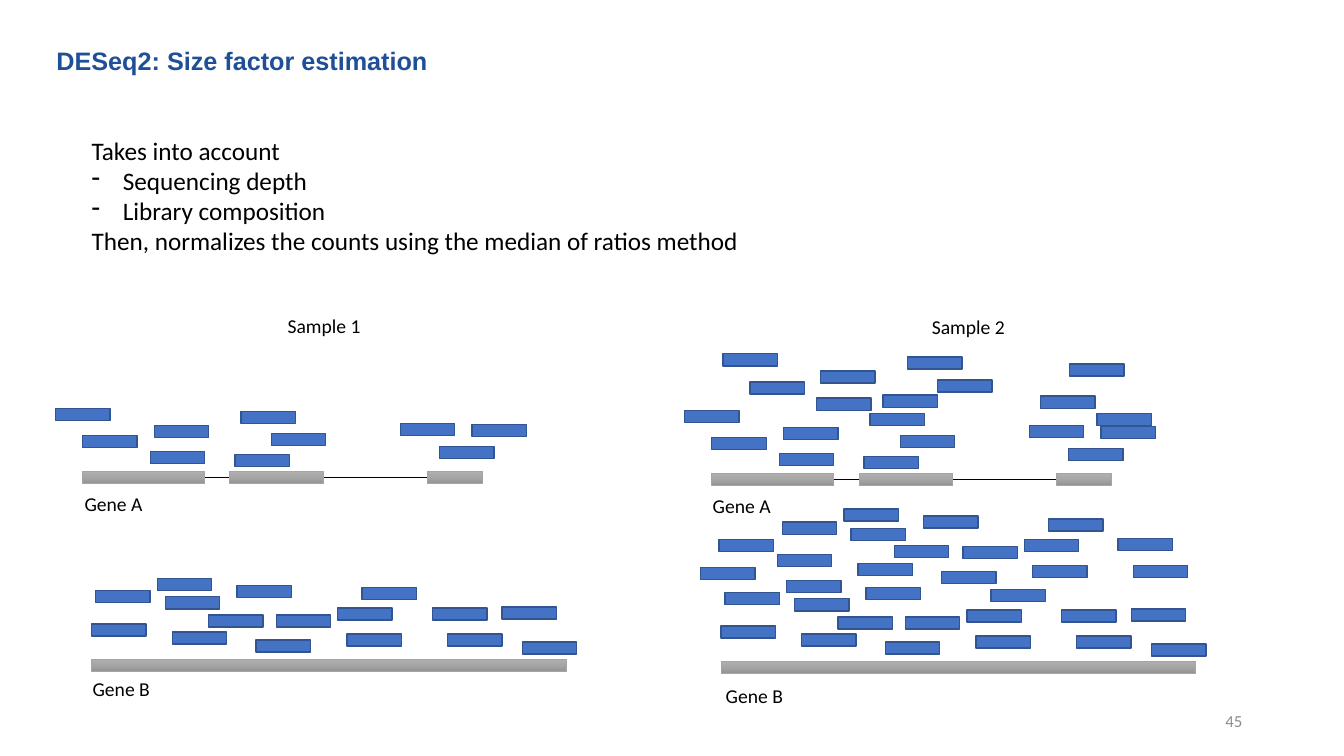
from copy import deepcopy

from pptx import Presentation
from pptx.dml.color import RGBColor
from pptx.enum.shapes import MSO_CONNECTOR, MSO_SHAPE
from pptx.enum.text import MSO_ANCHOR, MSO_AUTO_SIZE, PP_ALIGN
from pptx.oxml.ns import qn
from pptx.util import Inches, Pt

RECT, STRAIGHT = MSO_SHAPE.RECTANGLE, MSO_CONNECTOR.STRAIGHT
LEFT, CENTER, RIGHT = PP_ALIGN.LEFT, PP_ALIGN.CENTER, PP_ALIGN.RIGHT
TOP, MIDDLE = MSO_ANCHOR.TOP, MSO_ANCHOR.MIDDLE

TITLE_BLUE = RGBColor(0x1F, 0x4F, 0x97)
READ_FILL = RGBColor(0x44, 0x72, 0xC4)
READ_LINE = RGBColor(0x32, 0x54, 0x91)
GENE_LINE = RGBColor(0xA5, 0xA5, 0xA5)
GENE_STOPS = [(0, RGBColor(0xAF, 0xAF, 0xAF)), (0.5, GENE_LINE),
              (1, RGBColor(0x93, 0x93, 0x93))]
NUMBER_GREY = RGBColor(0x8C, 0x8C, 0x8C)
BLACK = RGBColor(0, 0, 0)

# Content: lines starting with "- " become dashed items
TITLE = "DESeq2: Size factor estimation"
BODY = [
    "Takes into account",
    "- Sequencing depth",
    "- Library composition",
    "Then, normalizes the counts using the median of ratios method",
]
PAGE_NUMBER = "45"
LABELS = [
    ("Sample 1", 2.53, 3.07, CENTER), ("Sample 2", 8.92, 3.08, CENTER),
    ("Gene A", 0.74, 4.83, LEFT), ("Gene A", 6.97, 4.85, LEFT),
    ("Gene B", 0.82, 6.67, LEFT), ("Gene B", 7.1, 6.74, LEFT),
]

# Gene models of sample 1: (left, width)
EXONS_A = [(0.82, 1.21), (2.28, 0.93), (4.24, 0.54)]
EXON_A_TOP = 4.68
GENE_B = (0.91, 4.71)
GENE_B_TOP = 6.54

# Reads found in both samples, as (left, top) in sample 1
SHARED_READS = [
    # gene A
    (0.55, 4.05), (0.82, 4.32), (1.53, 4.22), (1.49, 4.48), (2.39, 4.08),
    (2.69, 4.3), (2.33, 4.51), (3.97, 4.2), (4.36, 4.43), (4.68, 4.21),
    # gene B
    (0.91, 6.19), (0.95, 5.86), (1.56, 5.74), (1.64, 5.92), (1.71, 6.27),
    (2.07, 6.1), (2.35, 5.81), (2.54, 6.35), (2.74, 6.1), (3.35, 6.03),
    (3.44, 6.29), (3.59, 5.83), (4.29, 6.03), (4.44, 6.29), (4.98, 6.02),
    (5.18, 6.37),
]
# Further reads of the deeper sample 2, as (left, top) on the slide
EXTRA_READS = [
    # gene A
    (7.17, 3.51), (7.44, 3.79), (8.14, 3.68), (8.1, 3.95), (8.76, 3.92),
    (9, 3.54), (9.3, 3.77), (10.32, 3.93), (10.61, 3.61), (10.88, 4.1),
    # gene B
    (6.95, 5.63), (7.13, 5.35), (7.71, 5.5), (7.76, 5.18), (8.37, 5.05),
    (8.44, 5.24), (8.51, 5.59), (8.87, 5.41), (9.16, 5.12), (9.34, 5.67),
    (9.55, 5.42), (10.16, 5.35), (10.24, 5.61), (10.4, 5.15),
    (11.09, 5.34), (11.24, 5.61),
]
READ_WIDTH, BAR_HEIGHT = 0.54, 0.12
SAMPLE_SHIFTS = [(0, 0), (6.24, 0.02)]

deck = Presentation()
deck.slide_width, deck.slide_height = Inches(13.33), Inches(7.5)
page = deck.slides.add_slide(deck.slide_layouts[5])
shapes = page.shapes


def add_text(lines, left, top, width, height, box=None, size=18, font="Calibri",
             color=BLACK, bold=False, align=LEFT, anchor=TOP):
    """Write lines into a new text box, or into the given placeholder."""
    place = [Inches(value) for value in (left, top, width, height)]
    if box is None:
        box = shapes.add_textbox(*place)
    box.left, box.top, box.width, box.height = place
    frame = box.text_frame
    frame.word_wrap = True
    frame.auto_size = MSO_AUTO_SIZE.NONE
    frame.vertical_anchor = anchor
    for index, line in enumerate(lines):
        para = frame.paragraphs[0] if index == 0 else frame.add_paragraph()
        para.alignment = align
        if line.startswith("- "):
            line = line[2:]
            props = para._p.get_or_add_pPr()
            props.set("marL", str(Inches(0.31)))
            props.set("indent", str(-Inches(0.31)))
            bullet = props.makeelement(qn("a:buChar"), {"char": "-"})
            props.append(bullet)
        span = para.add_run()
        span.text = line
        span.font.size, span.font.name = Pt(size), font
        span.font.bold = bold
        span.font.color.rgb = color


def add_bar(left, top, width, line_color, line_width):
    bar = shapes.add_shape(RECT, Inches(left), Inches(top),
                           Inches(width), Inches(BAR_HEIGHT))
    bar.shadow.inherit = False
    bar.line.color.rgb = line_color
    bar.line.width = Pt(line_width)
    return bar


def add_read(left, top):
    read = add_bar(left, top, READ_WIDTH, READ_LINE, 1)
    read.fill.solid()
    read.fill.fore_color.rgb = READ_FILL


def add_gene_part(left, top, width):
    part = add_bar(left, top, width, GENE_LINE, 0.5)
    part.fill.gradient()
    part.fill.gradient_angle = 270
    first_stop = part._element.spPr.find(".//" + qn("a:gs"))
    first_stop.addnext(deepcopy(first_stop))
    for stop, (position, color) in zip(part.fill.gradient_stops, GENE_STOPS):
        stop.position = position
        stop.color.rgb = color
    return part


# Title, text and page number
add_text([TITLE], 0.46, 0.4, 9.93, 0.4, box=shapes.title, font="Arial",
         color=TITLE_BLUE, bold=True)
add_text(BODY, 0.81, 1.29, 11.25, 1.31)
add_text([PAGE_NUMBER], 9.42, 6.95, 3, 0.4, size=12, color=NUMBER_GREY,
         align=RIGHT, anchor=MIDDLE)

# Gene models and shared reads of each sample
for shift_x, shift_y in SAMPLE_SHIFTS:
    intron = shapes.add_connector(STRAIGHT, 0, 0, 0, 0)
    intron.line.color.rgb = BLACK
    intron.line.width = Pt(0.5)
    properties = intron._element.spPr
    properties.append(properties.makeelement(qn("a:effectLst"), {}))
    exons = [add_gene_part(left + shift_x, EXON_A_TOP + shift_y, width)
             for left, width in EXONS_A]
    intron.begin_connect(exons[0], 1)
    intron.end_connect(exons[-1], 3)
    add_gene_part(GENE_B[0] + shift_x, GENE_B_TOP + shift_y, GENE_B[1])
    for left, top in SHARED_READS:
        add_read(left + shift_x, top + shift_y)

# Additional depth in sample 2
for left, top in EXTRA_READS:
    add_read(left, top)

# Sample and gene labels
for label, left, top, align in LABELS:
    add_text([label], left, top, 1.37, 0.34, size=14, align=align)

deck.save("out.pptx")
